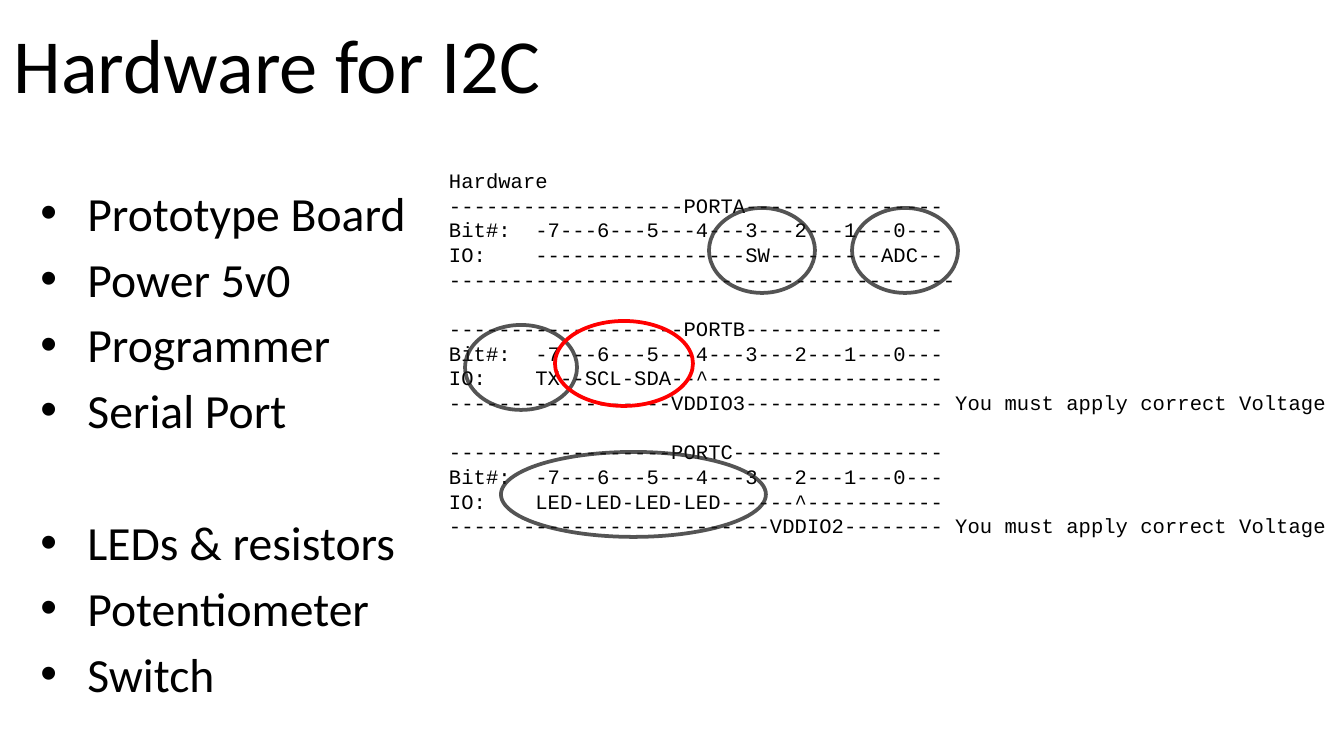
from dataclasses import dataclass

from lxml.etree import SubElement
from pptx import Presentation
from pptx.dml.color import RGBColor
from pptx.enum.shapes import MSO_SHAPE
from pptx.enum.text import MSO_ANCHOR, MSO_AUTO_SIZE, PP_ALIGN
from pptx.oxml.ns import qn
from pptx.util import Emu, Pt

BLACK = RGBColor(0x00, 0x00, 0x00)
GREY = RGBColor(0x1C, 0x1C, 0x1C)
RED = RGBColor(0xFF, 0x00, 0x00)
WIDTH, HEIGHT = 1344, 756
SCALE = 914400 * 10 / WIDTH
MONO_LINE = 13.2
BODY_GAP = 4.6
BODY_LINE = 31.1


@dataclass
class Box:
    left: int
    top: int
    width: int
    height: int


@dataclass
class Ring:
    box: Box
    color: RGBColor = GREY
    alpha: int = 75


PARTS = [
    ["Prototype Board", "Power 5v0", "Programmer", "Serial Port"],
    ["LEDs & resistors", "Potentiometer", "Switch"],
]
BITS = "Bit#:  -7---6---5---4---3---2---1---0---"
PORTS = [
    [
        "Hardware",
        "-------------------PORTA----------------",
        BITS,
        "IO:    -----------------SW---------ADC--",
        "-----------------------------------------",
    ],
    [
        "-------------------PORTB----------------",
        BITS,
        "IO:    TX--SCL-SDA--^-------------------",
        "------------------VDDIO3---------------- You must apply correct Voltage",
    ],
    [
        "------------------PORTC-----------------",
        BITS,
        "IO:    LED-LED-LED-LED------^-----------",
        "--------------------------VDDIO2-------- You must apply correct Voltage",
    ],
]
RINGS = [
    Ring(Box(852, 208, 106, 85)),
    Ring(Box(501, 452, 265, 85)),
    Ring(Box(709, 208, 106, 85)),
    Ring(Box(465, 325, 112, 85)),
    Ring(Box(555, 321, 138, 85), RED, 100),
]


def px(n: int) -> Emu:
    return Emu(round(n * SCALE))


def place(shape, box: Box) -> None:
    shape.left, shape.top = px(box.left), px(box.top)
    shape.width, shape.height = px(box.width), px(box.height)


def style(para, font: str, size: float) -> None:
    para.alignment = PP_ALIGN.LEFT
    for run in para.runs:
        run.font.name, run.font.size = font, Pt(size)
        run.font.color.rgb = BLACK


def fill(frame, groups: list[list[str]], font: str, size: float,
         gap: float, line: float) -> None:
    """Write one paragraph per entry, with one line of space between groups."""
    frame.text = "\n".join(text for group in groups for text in group)
    frame.auto_size = MSO_AUTO_SIZE.NONE
    frame.word_wrap = True
    paras = iter(frame.paragraphs)
    for g, group in enumerate(groups):
        for i, para in zip(range(len(group)), paras):
            style(para, font, size)
            if g and not i:
                para.space_before = Pt(line + 2 * gap)
            else:
                para.space_before = Pt(gap if i else 0)


def draw_ring(slide, ring: Ring) -> None:
    shape = slide.shapes.add_shape(MSO_SHAPE.OVAL, 0, 0, 0, 0)
    place(shape, ring.box)
    shape.shadow.inherit = False
    shape.fill.background()
    shape.line.color.rgb = ring.color
    shape.line.width = Pt(2)
    if ring.alpha < 100:
        tone = shape.line._get_or_add_ln().find(".//" + qn("a:srgbClr"))
        SubElement(tone, qn("a:alpha"), val=str(ring.alpha * 1000))


def main() -> None:
    deck = Presentation()
    deck.slide_width, deck.slide_height = px(WIDTH), px(HEIGHT)
    slide = deck.slides.add_slide(deck.slide_layouts[1])

    title = slide.shapes.title
    place(title, Box(0, 0, 1210, 126))
    title.text_frame.text = "Hardware for I2C"
    title.text_frame.auto_size = MSO_AUTO_SIZE.NONE
    title.text_frame.vertical_anchor = MSO_ANCHOR.MIDDLE
    style(title.text_frame.paragraphs[0], "Calibri", 41)

    body = slide.placeholders[1]
    place(body, Box(27, 177, 1210, 499))
    fill(body.text_frame, PARTS, "Calibri", 25.5, BODY_GAP, BODY_LINE)
    for para in body.text_frame.paragraphs:
        props = para._p.get_or_add_pPr()
        props.set("marL", str(px(47)))
        props.set("indent", str(px(-47)))

    ports = slide.shapes.add_textbox(0, 0, 0, 0)
    place(ports, Box(386, 160, 1003, 437))
    ports.text_frame.margin_left = px(63)
    ports.text_frame.margin_top = px(8)
    fill(ports.text_frame, PORTS, "Courier New", 11, 0, MONO_LINE)
    for para in ports.text_frame.paragraphs:
        para.line_spacing = Pt(MONO_LINE)

    for ring in RINGS:
        draw_ring(slide, ring)
    deck.save("out.pptx")


if __name__ == "__main__":
    main()
